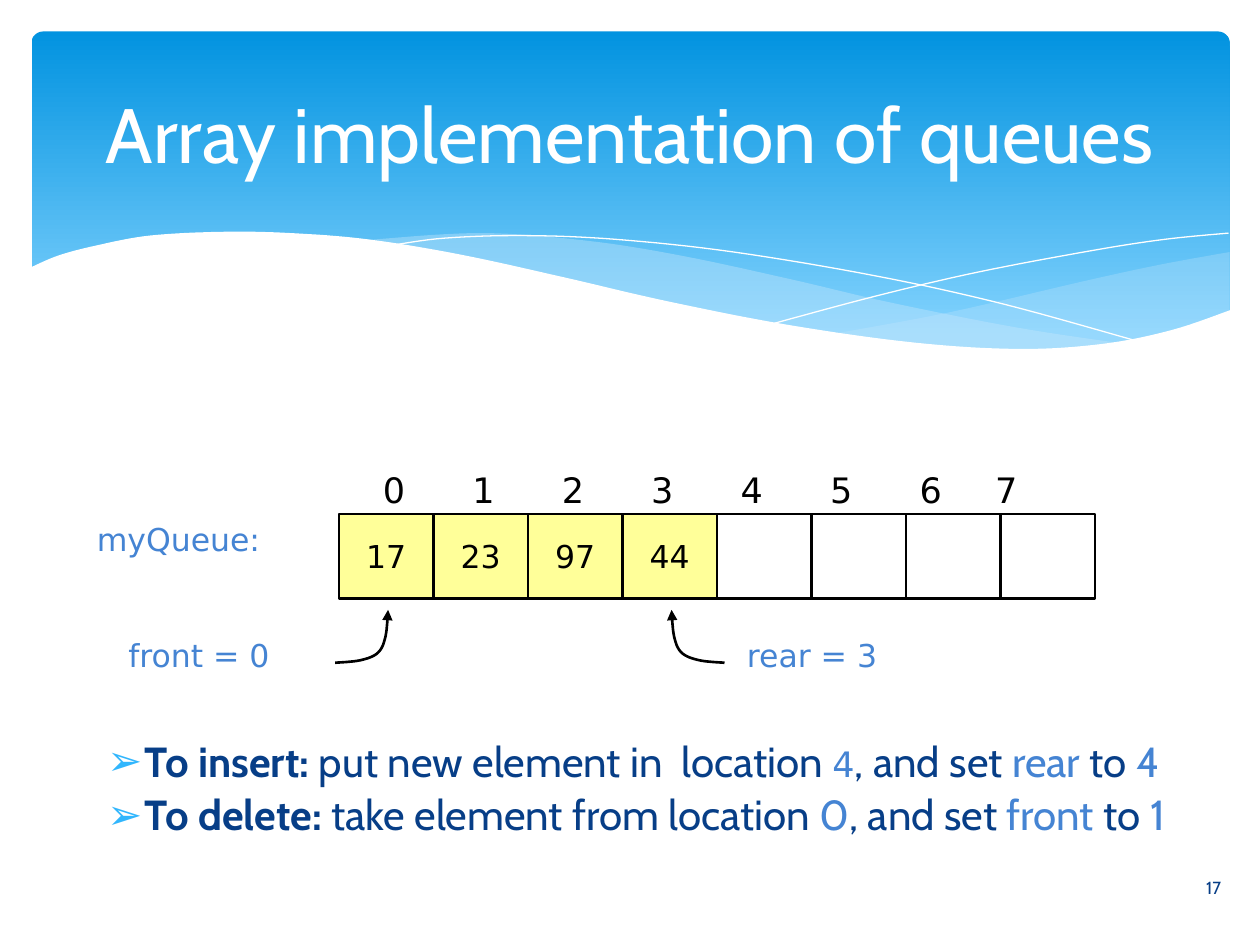
from lxml import etree
from pptx import Presentation
from pptx import util as u
from pptx.dml.color import RGBColor
from pptx.enum import shapes, text
from pptx.oxml import ns

SKY_TOP = RGBColor(0x02, 0x93, 0xE0)
SKY_BOTTOM = RGBColor(0x83, 0xD3, 0xFE)
MIST = RGBColor(0xC6, 0xE7, 0xFC)
WHITE = RGBColor(0xFF, 0xFF, 0xFF)
BLACK = RGBColor(0, 0, 0)
NAVY = RGBColor(0x07, 0x3E, 0x87)
BLUE = RGBColor(0x45, 0x84, 0xD3)
BULLET = RGBColor(0x31, 0xB6, 0xFD)
YELLOW = RGBColor(0xFF, 0xFF, 0x99)
SANS, MONO_LABEL = "Cabin", "DejaVu Sans"


def smooth(points, steps=8):
    padded = [points[0], *points, points[-1]]
    curve = [points[0]]
    for a, b, c, d in zip(padded, padded[1:], padded[2:], padded[3:]):
        for step in range(1, steps + 1):
            t = step / steps
            curve.append(tuple(
                q + t / 2 * (r - p + t * (2 * p - 5 * q + 4 * r - s + t * (3 * (q - r) + s - p)))
                for p, q, r, s in zip(a, b, c, d)))
    return curve


def add_xml(parent, tag, **attributes):
    return etree.SubElement(parent, ns.qn(tag), attributes)


class QueueSlide:
    def __init__(self, deck):
        self.slide = deck.slides.add_slide(deck.slide_layouts[1])
        self.shapes = self.slide.shapes

    def style(self, run, size, color, font, bold=False):
        run.font.size, run.font.name, run.font.bold = u.Pt(size), font, bold
        run.font.color.rgb = color

    def paint(self, shape, fill=None, line=None, width=1.5):
        shape.shadow.inherit = False
        if fill is None:
            shape.fill.background()
        else:
            shape.fill.solid()
            shape.fill.fore_color.rgb = fill
        if line is None:
            shape.line.fill.background()
        else:
            shape.line.color.rgb = line
            shape.line.width = u.Pt(width)

    def banner(self, left, top, width, height):
        sky = self.shapes.add_shape(shapes.MSO_SHAPE.ROUNDED_RECTANGLE, u.Inches(left),
                                    u.Inches(top), u.Inches(width), u.Inches(height))
        sky.adjustments[0] = 0.034
        self.paint(sky)
        sky.fill.gradient()
        sky.fill.gradient_angle = 270
        for stop, color, position in zip(sky.fill.gradient_stops, (SKY_TOP, SKY_BOTTOM), (0, 0.9)):
            stop.color.rgb = color
            stop.position = position

    def outline(self, points, fill=None, line=None, width=1.5, alpha=None, arrow=False):
        start, *rest = [(u.Inches(x), u.Inches(y)) for x, y in points]
        builder = self.shapes.build_freeform(*start)
        builder.add_line_segments(rest, close=fill is not None)
        shape = builder.convert_to_shape()
        self.paint(shape, fill, line, width)
        if alpha:
            color = shape.element.spPr.find(".//" + ns.qn("a:srgbClr"))
            add_xml(color, "a:alpha", val=str(alpha * 1000))
        if arrow:
            add_xml(shape.line._get_or_add_ln(), "a:tailEnd", type="triangle")

    def cell(self, left, top, width, height, value):
        box = self.shapes.add_shape(shapes.MSO_SHAPE.RECTANGLE, u.Inches(left),
                                    u.Inches(top), u.Inches(width), u.Inches(height))
        self.paint(box, YELLOW if value else None, BLACK)
        if value:
            frame = box.text_frame
            frame.text = value
            frame.word_wrap = False
            frame.vertical_anchor = text.MSO_ANCHOR.MIDDLE
            frame.paragraphs[0].alignment = text.PP_ALIGN.CENTER
            self.style(frame.paragraphs[0].runs[0], 18, BLACK, MONO_LABEL)

    def label(self, left, top, width, height, words, size=18, color=BLUE, font=MONO_LABEL,
              align=text.PP_ALIGN.LEFT, anchor=text.MSO_ANCHOR.TOP, tabs=()):
        frame = self.shapes.add_textbox(u.Inches(left), u.Inches(top), u.Inches(width),
                                        u.Inches(height)).text_frame
        frame.word_wrap = True
        frame.vertical_anchor = anchor
        paragraph = frame.paragraphs[0]
        paragraph.text = words
        paragraph.alignment = align
        for run in paragraph.runs:
            self.style(run, size, color, font)
        if tabs:
            stops = add_xml(paragraph._p.get_or_add_pPr(), "a:tabLst")
            for stop in tabs:
                add_xml(stops, "a:tab", pos=str(u.Inches(stop)), algn="l")

    def place(self, holder, left, top, width, height, anchor):
        holder.left, holder.top = u.Inches(left), u.Inches(top)
        holder.width, holder.height = u.Inches(width), u.Inches(height)
        holder.element.getparent().append(holder.element)
        frame = holder.text_frame
        frame.word_wrap = True
        frame.auto_size = text.MSO_AUTO_SIZE.NONE
        frame.vertical_anchor = anchor
        return frame

    def title(self, words):
        frame = self.place(self.shapes.title, 0.5, 0.37, 9, 1.37, text.MSO_ANCHOR.MIDDLE)
        frame.text = words
        frame.paragraphs[0].alignment = text.PP_ALIGN.CENTER
        self.style(frame.paragraphs[0].runs[0], 44, WHITE, SANS)

    def bullets(self, items):
        frame = self.place(self.slide.placeholders[1], 0.75, 5.83, 9.08, 0.92, text.MSO_ANCHOR.TOP)
        for number, item in enumerate(items):
            paragraph = frame.add_paragraph() if number else frame.paragraphs[0]
            paragraph.line_spacing = 0.9
            paragraph.space_before = u.Pt(4.8)
            properties = paragraph._p.get_or_add_pPr()
            properties.set("marL", str(u.Inches(0.3)))
            properties.set("indent", str(u.Inches(-0.3)))
            add_xml(add_xml(properties, "a:buClr"), "a:srgbClr", val=str(BULLET))
            add_xml(properties, "a:buChar", char="➢")
            for words, size, color, font, bold in item:
                run = paragraph.add_run()
                run.text = words
                self.style(run, size, color, font, bold)


def lead(words):
    return words, 24, NAVY, SANS, True


def plain(words):
    return words, 24, NAVY, SANS, False


def value(words, size=24, font=SANS):
    return words, size, BLUE, font, False


def main():
    deck = Presentation()
    deck.slide_width, deck.slide_height = u.Inches(10), u.Inches(7.5)
    page = QueueSlide(deck)

    page.banner(0.25, 0.25, 9.51, 2.7)
    right_ribbon = (smooth([(9.76, 2), (9.21, 2.1), (8.61, 2.23), (7.53, 2.48), (6.61, 2.65)])
                    + smooth([(6.61, 2.65), (7.19, 2.72), (8.03, 2.78), (8.89, 2.72),
                              (9.42, 2.59), (9.76, 2.47)]))
    middle_ribbon = (smooth([(8.93, 2.73), (8.07, 2.6), (7.06, 2.4), (6.29, 2.22), (5.41, 2.03),
                             (4.65, 1.91), (3.8, 1.85), (2.86, 1.91)])
                     + smooth([(2.86, 1.91), (3.62, 2.03), (4.49, 2.22), (5.66, 2.48),
                               (6.5, 2.64), (7.22, 2.74), (8.07, 2.78), (8.93, 2.73)]))
    falling_line = smooth([(3.09, 1.95), (3.53, 1.89), (4.16, 1.87), (4.89, 1.9), (5.82, 2),
                           (6.95, 2.19), (7.95, 2.41), (9.07, 2.72)])
    rising_line = smooth([(6.13, 2.57), (6.95, 2.35), (7.76, 2.16), (8.66, 1.99), (9.24, 1.9),
                          (9.75, 1.85)])
    wave = smooth([(9.77, 2.46), (9.3, 2.62), (8.75, 2.73), (8.09, 2.77), (7.26, 2.72),
                   (6.26, 2.58), (5.29, 2.39), (4.47, 2.2), (3.65, 2.02), (2.92, 1.9),
                   (2.3, 1.85), (1.77, 1.84), (1.19, 1.87), (0.76, 1.95), (0.46, 2.03),
                   (0.23, 2.13)]) + [(0.23, 3.29), (9.77, 3.29)]
    page.outline(right_ribbon, fill=MIST, alpha=29)
    page.outline(middle_ribbon, fill=MIST, alpha=40)
    for line in (falling_line, rising_line):
        page.outline(line, line=WHITE, width=0)
    page.outline(wave, fill=WHITE)

    page.label(5.65, 6.84, 4.14, 0.4, "17", 10, NAVY, SANS,
               text.PP_ALIGN.RIGHT, text.MSO_ANCHOR.MIDDLE)
    page.title("Array implementation of queues")
    page.bullets([
        [lead("To insert:"), plain(" put new element in  location "), value("4", 20, MONO_LABEL),
         plain(", and set "), value("rear"), plain(" to "), value("4")],
        [lead("To delete:"), plain(" take element from location "), value("0"),
         plain(", and set "), value("front"), plain(" to "), value("1")],
    ])

    queue = ["17", "23", "97", "44", "", "", "", ""]
    for index, element in enumerate(queue):
        page.cell(2.69 + 0.75 * index, 4.08, 0.75, 0.67, element)
    indices = "\t".join(str(index) for index in range(len(queue)))
    index_stops = [0.71 * index for index in range(1, 7)] + [4.86]
    page.label(2.94, 3.67, 5.81, 0.43, indices, 20, BLACK, tabs=index_stops)
    page.label(0.67, 4.08, 1.96, 0.5, "myQueue:")

    bend = [(0, 0.42), (0.2, 0.4), (0.34, 0.34), (0.4, 0.21), (0.42, 0)]
    for words, left, tail, direction in (("rear = 3", 5.83, 5.75, -1), ("front = 0", 0.92, 2.66, 1)):
        page.label(left, 5, 1.83, 0.5, words)
        page.outline(smooth([(tail + direction * x, 4.84 + y) for x, y in bend]),
                     line=BLACK, arrow=True)

    deck.save("out.pptx")


if __name__ == "__main__":
    main()
